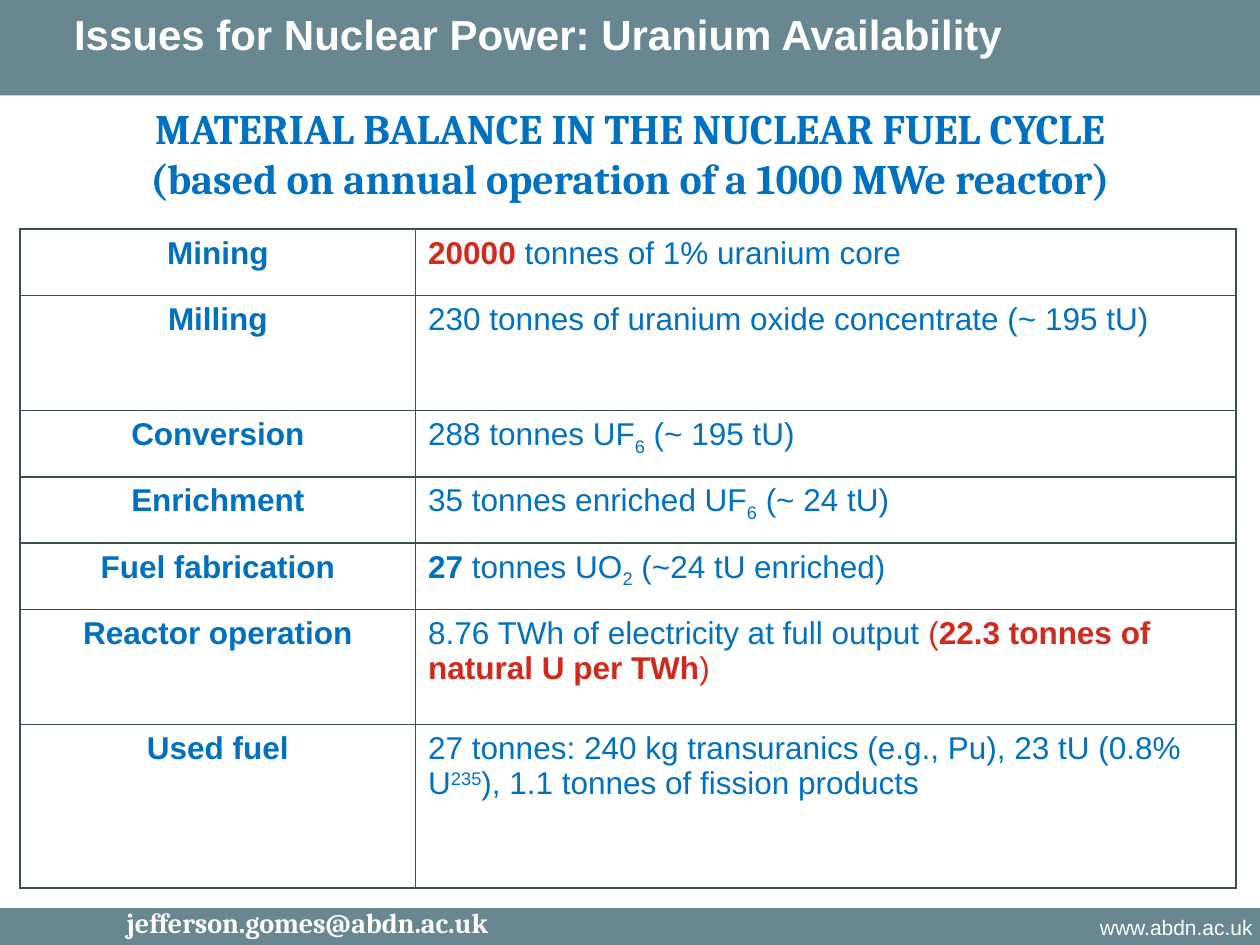
from lxml.etree import SubElement
from pptx import Presentation
from pptx.dml.color import RGBColor
from pptx.enum.shapes import MSO_SHAPE
from pptx.enum.text import PP_ALIGN
from pptx.oxml.ns import qn
from pptx.util import Pt

SLATE, WHITE, BLUE, RED, BORDER = "688791", "FFFFFF", "0070C0", "D12A1D", "3D4F55"
BASELINES = {"sub": "-25000", "sup": "30000"}

STAGES = [
    ("Mining", 38, [("20000", "bold red"), (" tonnes of 1% uranium core", "")]),
    ("Milling", 65.5, [("230 tonnes of uranium oxide concentrate (~ 195 tU)", "")]),
    ("Conversion", 38, [("288 tonnes UF", ""), ("6", "sub"), (" (~ 195 tU)", "")]),
    ("Enrichment", 38, [("35 tonnes enriched UF", ""), ("6", "sub"), (" (~ 24 tU)", "")]),
    ("Fuel fabrication", 38, [("27", "bold"), (" tonnes UO", ""), ("2", "sub"),
                              (" (~24 tU enriched)", "")]),
    ("Reactor operation", 65.5, [("8.76 TWh of electricity at full output", ""), (" (", "red"),
                                 ("22.3 tonnes of natural U per TWh", "bold red"), (")", "red")]),
    ("Used fuel", 93.6, [("27 tonnes: 240 kg transuranics (e.g., Pu), 23 tU (0.8% U", ""),
                         ("235", "sup"), ("), 1.1 tonnes of fission products", "")]),
]


def color(value):
    return RGBColor.from_string(value)


def style_font(font, name, size, value, bold):
    font.name = name
    font.size = Pt(size)
    font.color.rgb = color(value)
    font.bold = bold


def add_band(slide, top, height):
    shape = slide.shapes.add_shape(MSO_SHAPE.RECTANGLE, 0, Pt(top), Pt(720), Pt(height))
    shape.shadow.inherit = False
    shape.fill.solid()
    shape.fill.fore_color.rgb = color(SLATE)
    shape.line.fill.background()


def add_text(slide, box, text, name, size, value, bold=True, align=PP_ALIGN.CENTER):
    shape = slide.shapes.add_textbox(*[Pt(length) for length in box])
    text_frame = shape.text_frame
    text_frame.word_wrap = True
    text_frame.text = text
    for paragraph in text_frame.paragraphs:
        paragraph.alignment = align
        for run in paragraph.runs:
            style_font(run.font, name, size, value, bold)
    return text_frame


def set_borders(cell):
    properties = cell._tc.get_or_add_tcPr()
    for index, side in enumerate(("a:lnL", "a:lnR", "a:lnT", "a:lnB")):
        line = SubElement(properties, qn(side), w=str(Pt(1)))
        fill = SubElement(line, qn("a:solidFill"))
        SubElement(fill, qn("a:srgbClr"), val=BORDER)
        properties.remove(line)
        properties.insert(index, line)


def fill_cell(cell, parts, align):
    cell.fill.solid()
    cell.fill.fore_color.rgb = color(WHITE)
    set_borders(cell)
    paragraph = cell.text_frame.paragraphs[0]
    paragraph.alignment = align
    for text, style in parts:
        run = paragraph.add_run()
        run.text = text
        style_font(run.font, "Arial", 18, RED if "red" in style else BLUE, "bold" in style)
        if style in BASELINES:
            run._r.get_or_add_rPr().set("baseline", BASELINES[style])


def add_balance_table(slide):
    height = sum(stage[1] for stage in STAGES)
    frame = slide.shapes.add_table(len(STAGES), 2, Pt(11.5), Pt(131), Pt(694.8), Pt(height))
    table = frame.table
    table.first_row = False
    table.horz_banding = False
    for column, width in zip(table.columns, (226, 468.8)):
        column.width = Pt(width)
    for row, (name, row_height, parts) in zip(table.rows, STAGES):
        row.height = Pt(row_height)
        fill_cell(row.cells[0], [(name, "bold")], PP_ALIGN.CENTER)
        fill_cell(row.cells[1], parts, PP_ALIGN.LEFT)


def main():
    presentation = Presentation()
    presentation.slide_width, presentation.slide_height = Pt(720), Pt(540)
    slide = presentation.slides.add_slide(presentation.slide_layouts[6])
    add_band(slide, 519, 21)
    add_band(slide, 0, 54.5)
    add_text(slide, (535.5, 519, 187.5, 26), "www.abdn.ac.uk", "Arial", 12, WHITE,
             bold=False, align=PP_ALIGN.RIGHT)
    add_text(slide, (0, 55, 720, 65.5),
             "MATERIAL BALANCE IN THE NUCLEAR FUEL CYCLE\n"
             "(based on annual operation of a 1000 MWe reactor)", "Cambria", 24, BLUE)
    add_balance_table(slide)
    email = add_text(slide, (0, 516, 351.5, 21), "jefferson.gomes@abdn.ac.uk",
                     "Cambria", 16, WHITE)
    email.paragraphs[0].line_spacing = 0.9
    add_text(slide, (0, 1.5, 615, 36), "Issues for Nuclear Power: Uranium Availability",
             "Arial", 24, WHITE)
    presentation.save("out.pptx")


if __name__ == "__main__":
    main()
